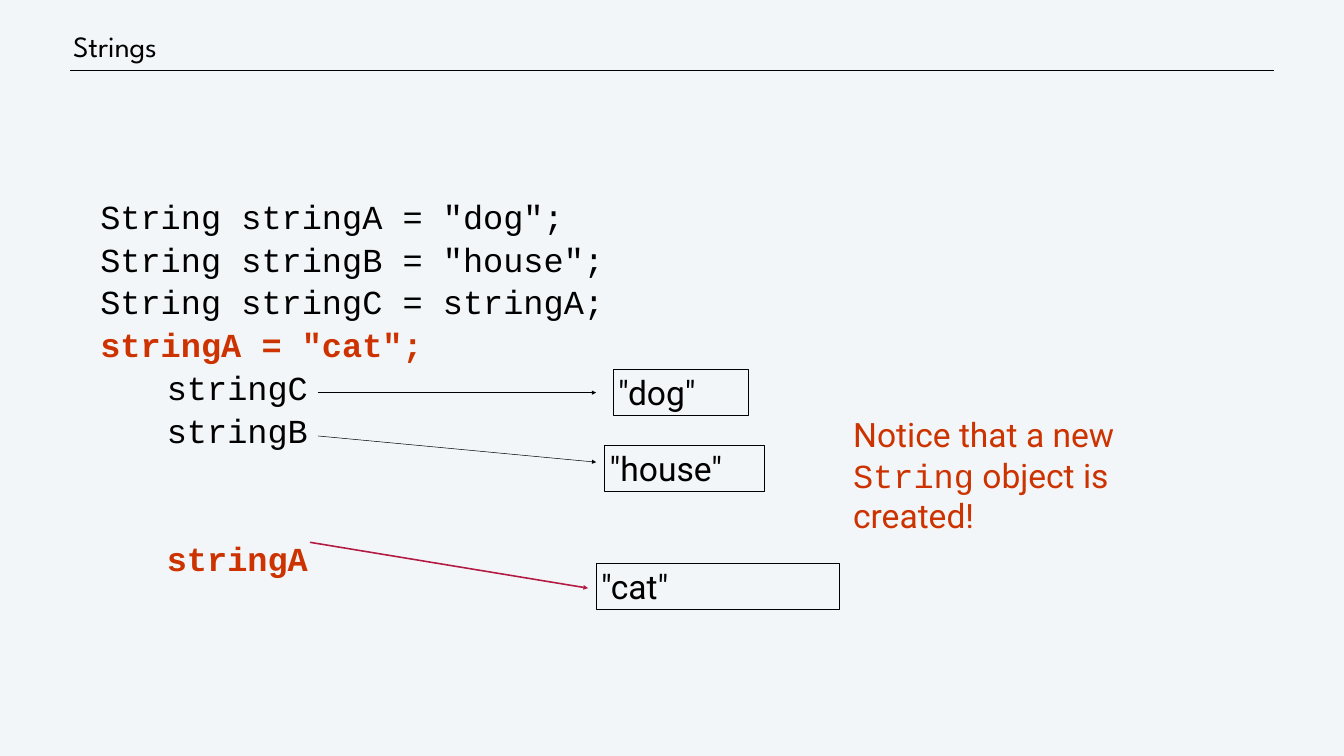
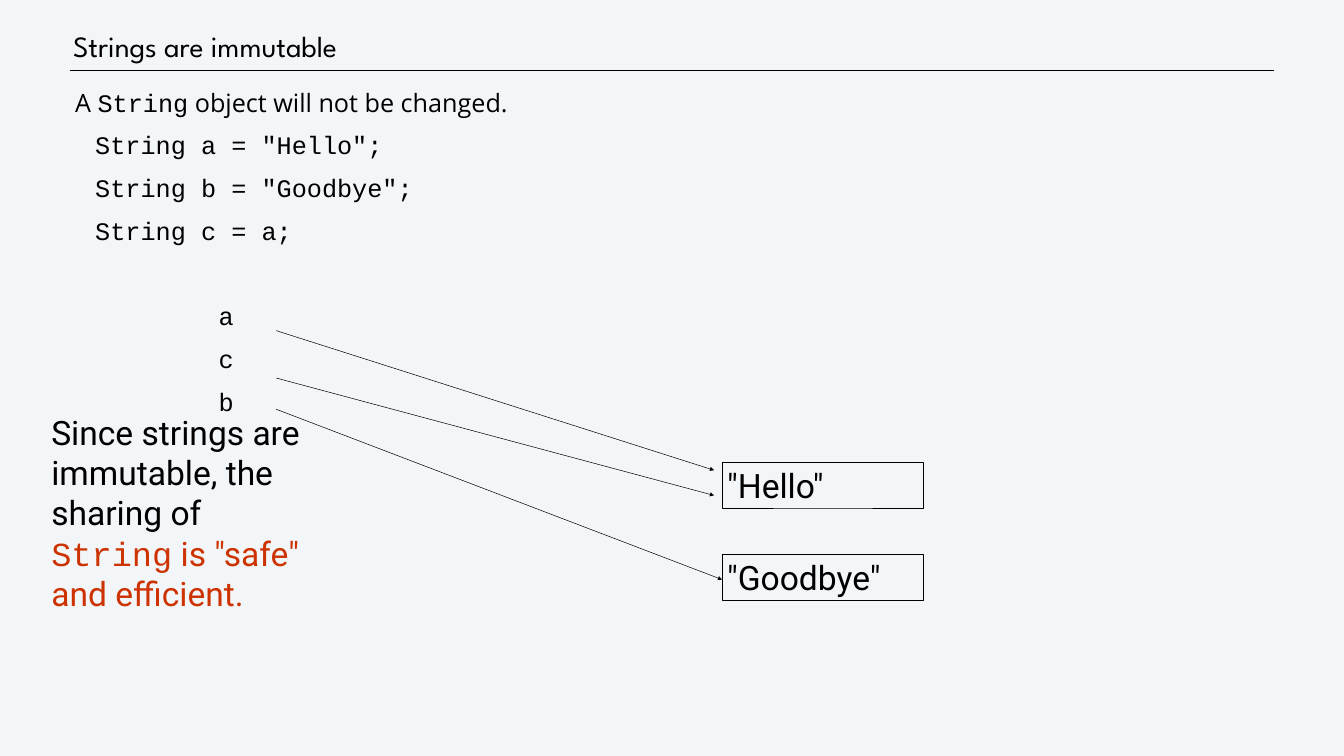
"""Builds two slides that show how Java strings share objects."""
from pptx import Presentation
from pptx.dml.color import RGBColor
from pptx.enum.shapes import MSO_CONNECTOR, MSO_SHAPE
from pptx.enum.text import MSO_ANCHOR, MSO_AUTO_SIZE, PP_ALIGN
from pptx.oxml.ns import qn
from pptx.util import Inches, Pt
from lxml.etree import SubElement

BLACK, RED, WINE, PAPER = "000000", "CC3300", "B21A42", "F3F6F9"
MONO, SANS, HEAD, OPEN = "Courier New", "Roboto", "League Spartan", "Open Sans"
LINE, GAP = 43, 18


def paint(target, color):
    target.solid()
    target.fore_color.rgb = RGBColor.from_string(color)


def say(para, text, size=48, font=SANS, color=BLACK, bold=False):
    run = para.add_run()
    run.text = text
    run.font.size, run.font.name, run.font.bold = Pt(size), font, bold
    paint(run.font.fill, color)


class Deck:
    def __init__(self):
        self.prs = Presentation()
        self.prs.slide_width, self.prs.slide_height = Inches(26.67), Inches(15)
        paint(self.prs.slide_master.background.fill, PAPER)

    def start(self, title):
        self.slide = self.prs.slides.add_slide(self.prs.slide_layouts[1])
        frame = self.place(self.slide.shapes.title, 1.39, 0.42, 22.62, 0.99)
        frame.vertical_anchor = MSO_ANCHOR.MIDDLE
        para = frame.paragraphs[0]
        para.alignment = PP_ALIGN.LEFT
        para.line_spacing, para.space_before = Pt(50), Pt(3)
        say(para, title, size=42, font=HEAD)
        self.line((1.39, 1.4), (25.28, 1.4), width=1)

    def place(self, holder, left, top, width, height):
        holder.left, holder.top = Inches(left), Inches(top)
        holder.width, holder.height = Inches(width), Inches(height)
        frame = holder.text_frame
        frame.auto_size, frame.word_wrap = MSO_AUTO_SIZE.NONE, True
        frame.margin_left = frame.margin_right = Inches(0.06)
        frame.margin_top = frame.margin_bottom = Inches(0.06)
        return frame

    def body(self, spot, rows, size):
        """Each row is (indent, lines skipped above, runs)."""
        frame = self.place(self.slide.placeholders[1], *spot)
        for i, (indent, skip, runs) in enumerate(rows):
            para = frame.add_paragraph() if i else frame.paragraphs[0]
            para.line_spacing = Pt(LINE)
            para.space_before = Pt(GAP + skip * (LINE + GAP))
            props = para._p.get_or_add_pPr()
            props.set("marL", str(Inches(indent)))
            props.set("indent", "0")
            SubElement(props, qn("a:buNone"))
            for text, style in runs:
                say(para, text, **{"size": size, "font": MONO, **style})

    def box(self, left, top, width, text):
        shape = self.slide.shapes.add_shape(
            MSO_SHAPE.RECTANGLE, Inches(left), Inches(top), Inches(width), Inches(0.91))
        shape.shadow.inherit = False
        shape.fill.background()
        paint(shape.line.fill, BLACK)
        shape.line.width = Pt(0.75)
        shape.text_frame.vertical_anchor = MSO_ANCHOR.TOP
        para = shape.text_frame.paragraphs[0]
        para.alignment = PP_ALIGN.LEFT
        say(para, text)

    def line(self, tail, tip, color=BLACK, width=0.75, arrow=False):
        link = self.slide.shapes.add_connector(
            MSO_CONNECTOR.STRAIGHT, *map(Inches, tail + tip))
        paint(link.line.fill, color)
        link.line.width = Pt(width)
        if arrow:
            SubElement(link.line._get_or_add_ln(), qn("a:tailEnd"), type="triangle")
        SubElement(link._element.spPr, qn("a:effectLst"))

    def note(self, left, top, width, height, runs):
        frame = self.slide.shapes.add_textbox(
            *map(Inches, (left, top, width, height))).text_frame
        frame.word_wrap = True
        for text, style in runs:
            say(frame.paragraphs[0], text, **style)


def assign(deck):
    deck.start("Strings")
    hot = {"color": RED, "bold": True}
    code, name = 0.1, 1.42
    deck.body((1.83, 4.03, 23, 9.52), [
        (code, 0, [('String stringA = "dog";', {})]),
        (code, 0, [('String stringB = "house";', {})]),
        (code, 0, [("String stringC = stringA;", {})]),
        (code, 0, [('stringA = "cat";', hot)]),
        (name, 0, [("stringC", {})]),
        (name, 0, [("stringB", {})]),
        (name, 2, [("stringA", hot)]),
    ], size=48)
    deck.box(12.17, 7.33, 2.67, '"dog"')
    deck.box(12, 8.83, 3.17, '"house"')
    deck.box(11.83, 11.17, 4.83, '"cat"')
    deck.line((6.31, 7.79), (11.83, 7.79), arrow=True)
    deck.line((6.31, 8.65), (11.83, 9.17), arrow=True)
    deck.line((6.15, 10.76), (11.67, 11.67), color=WINE, width=2.25, arrow=True)
    deck.note(16.83, 8.17, 6, 2.52, [
        ("Notice that a new ", {"color": RED}),
        ("String", {"color": RED, "font": MONO}),
        (" object is created!", {"color": RED}),
    ])


def share(deck):
    deck.start("Strings are immutable")
    code, name = 0.5, 2.95
    deck.body((1.33, 1.67, 23.92, 12.67), [
        (0.1, 0, [("A ", {"font": OPEN}), ("String", {}),
                  (" object will not be changed.", {"font": OPEN})]),
        (code, 0, [('String a = "Hello";', {})]),
        (code, 0, [('String b = "Goodbye";', {})]),
        (code, 0, [("String c = a;", {})]),
        (name, 1, [("a", {})]),
        (name, 0, [("c", {})]),
        (name, 0, [("b", {})]),
    ], size=36)
    deck.box(14.33, 9.17, 4, '"Hello"')
    deck.box(14.33, 11, 4, '"Goodbye"')
    for top, tip in ((6.56, (14.17, 9.33)), (7.5, (14.17, 9.83)), (8.12, (14.33, 11.5))):
        deck.line((5.48, top), tip, arrow=True)
    deck.note(0.92, 8.12, 5.33, 4.14, [
        ("Since strings are immutable, the sharing of ", {}),
        ("String", {"color": RED, "font": MONO}),
        (' is "safe" and efficient.', {"color": RED}),
    ])


def main():
    deck = Deck()
    assign(deck)
    share(deck)
    deck.prs.save("out.pptx")


if __name__ == "__main__":
    main()
